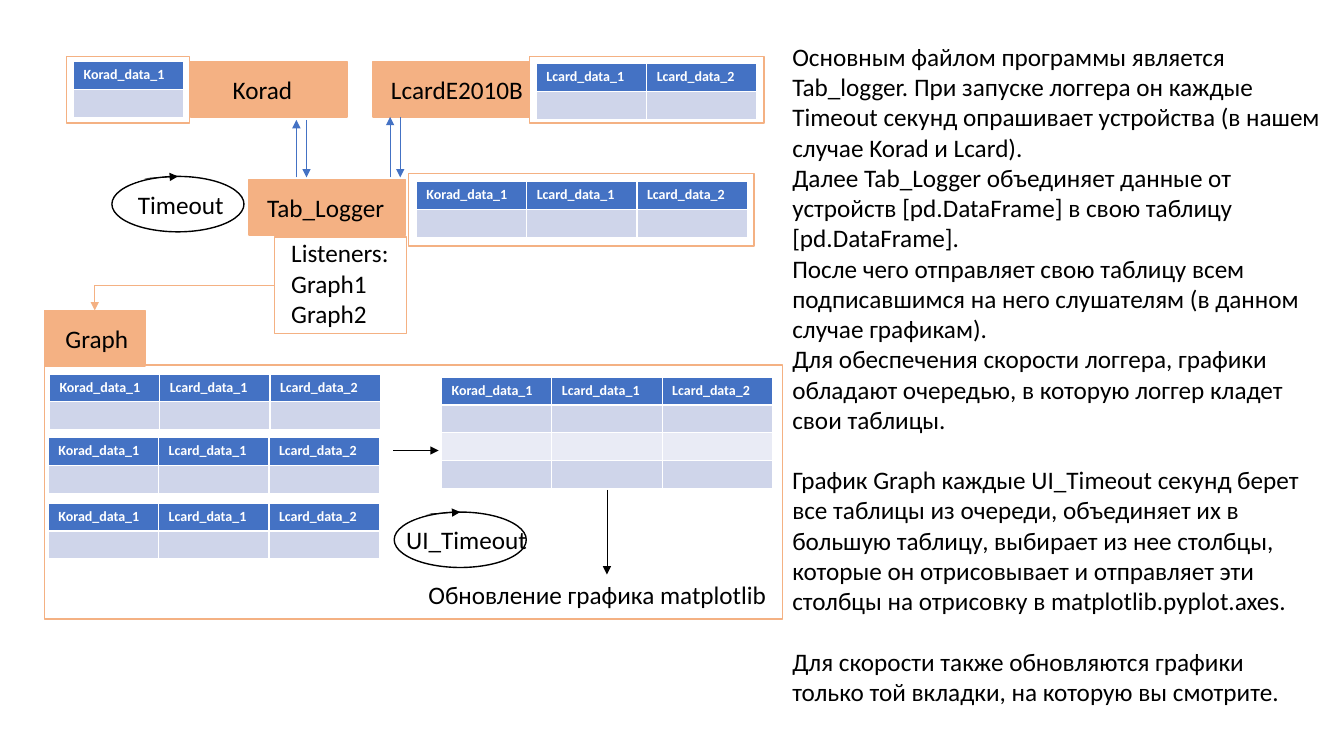
from lxml.etree import SubElement
from pptx import Presentation
from pptx.dml.color import RGBColor
from pptx.enum.shapes import MSO_CONNECTOR, MSO_SHAPE
from pptx.enum.text import MSO_AUTO_SIZE
from pptx.oxml.ns import qn
from pptx.util import Inches, Pt

BLACK = RGBColor(0x00, 0x00, 0x00)
WHITE = RGBColor(0xFF, 0xFF, 0xFF)
ORANGE = RGBColor(0xF4, 0xB1, 0x83)
BLUE = RGBColor(0x44, 0x72, 0xC4)
BAND_DARK = RGBColor(0xCF, 0xD5, 0xEA)
BAND_LIGHT = RGBColor(0xE9, 0xEB, 0xF5)

KORAD = ["Korad_data_1"]
LCARD = ["Lcard_data_1", "Lcard_data_2"]
LOOP_SIZE = (13.1, 5.5)
BLOCK_SIZE = (15.5, 5.5)

DESCRIPTION = [
    ("Основным файлом программы является Tab_logger. При запуске логгера он "
     "каждые Timeout секунд опрашивает устройства (в нашем случае Korad и Lcard).", 0),
    ("Далее Tab_Logger объединяет данные от устройств [pd.DataFrame] в свою "
     "таблицу [pd.DataFrame].", 0),
    ("После чего отправляет свою таблицу всем подписавшимся на него слушателям "
     "(в данном случае графикам).", 0),
    ("Для обеспечения скорости логгера, графики обладают очередью, в которую "
     "логгер кладет свои таблицы.", 0),
    ("График Graph каждые UI_Timeout секунд берет все таблицы из очереди, "
     "объединяет их в большую таблицу, выбирает из нее столбцы, которые он "
     "отрисовывает и отправляет эти столбцы на отрисовку в "
     "matplotlib.pyplot.axes.", 21.6),
    ("Для скорости также обновляются графики только той вкладки, на которую вы "
     "смотрите.", 21.6),
]


class Diagram:
    """Draws styled elements on one page, measured in cells of a fine grid."""

    cell = Inches(0.1)
    body = {"name": "Calibri", "size": Pt(18), "bold": False}
    header = {"name": "Calibri", "size": Pt(10), "bold": True}
    column_width = 10.94
    row_height = 2.77

    def __init__(self, page):
        self.page = page

    def grid(self, *cells):
        return [round(count * self.cell) for count in cells]

    def add_words(self, para, words, style, color):
        span = para.add_run()
        span.text = words
        for name, value in style.items():
            setattr(span.font, name, value)
        span.font.color.rgb = color

    def shape(self, place, fill=None, line=ORANGE, kind=MSO_SHAPE.RECTANGLE, turn=0):
        shape = self.page.shapes.add_shape(kind, *self.grid(*place))
        shape.shadow.inherit = False
        shape.rotation = turn
        if fill is None:
            shape.fill.background()
        else:
            shape.fill.solid()
            shape.fill.fore_color.rgb = fill
        if line is None:
            shape.line.fill.background()
        else:
            shape.line.color.rgb = line
            shape.line.width = Pt(1)
        return shape

    def text(self, place, *paragraphs):
        box = self.page.shapes.add_textbox(*self.grid(*place))
        frame = box.text_frame
        frame.word_wrap = True
        frame.auto_size = MSO_AUTO_SIZE.SHAPE_TO_FIT_TEXT
        for index, (words, gap) in enumerate(paragraphs):
            para = frame.add_paragraph() if index else frame.paragraphs[0]
            para.space_before = Pt(gap)
            self.add_words(para, words, self.body, BLACK)

    def label(self, left, top, width, words):
        self.text((left, top, width, 4), (words, 0))

    def arrow(self, start, end, color=BLACK, kind=MSO_CONNECTOR.STRAIGHT):
        arrow = self.page.shapes.add_connector(kind, *self.grid(*start, *end))
        arrow.line.color.rgb = color
        arrow.line.width = Pt(0.5)
        SubElement(arrow.line._get_or_add_ln(), qn("a:tailEnd"), type="triangle")
        SubElement(arrow._element.spPr, qn("a:effectLst"))
        return arrow

    def corner_arrow(self, source, source_side, target, target_side):
        arrow = self.arrow((27.2, 28.3), (9.4, 30.8), ORANGE, MSO_CONNECTOR.ELBOW)
        arrow._element.spPr.find(qn("a:prstGeom")).set("prst", "bentConnector2")
        arrow.begin_connect(source, source_side)
        arrow.end_connect(target, target_side)

    def exchange(self, left, top, bottom):
        self.arrow((left + 1, top), (left + 1, bottom), BLUE)
        self.arrow((left, bottom), (left, top), BLUE)

    def loop(self, left, top):
        self.shape((left, top, *LOOP_SIZE), line=BLACK, kind=MSO_SHAPE.OVAL)
        self.arrow((left, top + 0.4), (left + LOOP_SIZE[0] / 2, top))
        self.shape((left - 0.7, top - 2.8, 4.6, 3.5), WHITE, None, turn=341.4)

    def table(self, left, top, titles, empty_rows=1):
        rows, columns = empty_rows + 1, len(titles)
        size = (columns * self.column_width, rows * self.row_height)
        table = self.page.shapes.add_table(
            rows, columns, *self.grid(left, top, *size)).table
        for row in range(rows):
            for column, title in enumerate(titles):
                cell = table.cell(row, column)
                para = cell.text_frame.paragraphs[0]
                cell.fill.solid()
                if row == 0:
                    cell.fill.fore_color.rgb = BLUE
                    self.add_words(para, title, self.header, WHITE)
                else:
                    cell.fill.fore_color.rgb = BAND_DARK if row % 2 else BAND_LIGHT
                    SubElement(para._p, qn("a:endParaRPr"), sz="1000")


def main():
    deck = Presentation()
    deck.slide_width, deck.slide_height = Inches(13.33), Inches(7.5)
    diagram = Diagram(deck.slides.add_slide(deck.slide_layouts[6]))

    for place in [(6.6, 5.6, 12.2, 6.6), (52.5, 5.6, 23.3, 6.6), (40.5, 17.2, 34.3, 7.2)]:
        diagram.shape(place, WHITE)
    for left, top in [(18.9, 6.1), (37, 6.1), (24.7, 17.8)]:
        diagram.shape((left, top, *BLOCK_SIZE), ORANGE)
    diagram.label(22.1, 6.9, 9.6, "Korad")
    diagram.label(37.8, 6.9, 24.3, "LcardE2010B")
    diagram.label(25.5, 18.6, 14.8, "Tab_Logger")
    diagram.exchange(38.7, 11.6, 17.6)
    diagram.exchange(29.4, 11.9, 17.6)

    diagram.loop(11.1, 17.5)
    diagram.label(12.7, 18.3, 10.6, "Timeout")

    listeners = diagram.shape((27.2, 23.5, 13.1, 9.6), WHITE)
    diagram.text((27.9, 23.1, 14.8, 10.1),
                 ("Listeners:", 0), ("Graph1", 0), ("Graph2", 0))

    diagram.shape((4.4, 36.2, 73.2, 25.2), WHITE)
    graph = diagram.shape((4.4, 30.8, 10, 5.5), ORANGE)
    diagram.label(5.5, 31.6, 9.1, "Graph")
    diagram.corner_arrow(listeners, 1, graph, 0)

    diagram.loop(39.1, 50.8)
    diagram.label(39.3, 51.5, 14.1, "UI_Timeout")
    diagram.arrow((39, 44.7), (43.5, 44.7))
    diagram.arrow((60.2, 48.6), (60.2, 57))
    diagram.label(41.5, 57, 36.1, "Обновление графика matplotlib")

    for left, top in [(4.9, 37.1), (4.8, 43.4), (4.8, 49.9), (41.3, 18)]:
        diagram.table(left, top, KORAD + LCARD)
    diagram.table(43.8, 37.4, KORAD + LCARD, empty_rows=3)
    diagram.table(53.2, 6.3, LCARD)
    diagram.table(7.3, 6.1, KORAD)

    diagram.text((77.6, 3.6, 54.4, 67.7), *DESCRIPTION)
    deck.save("out.pptx")


if __name__ == "__main__":
    main()
